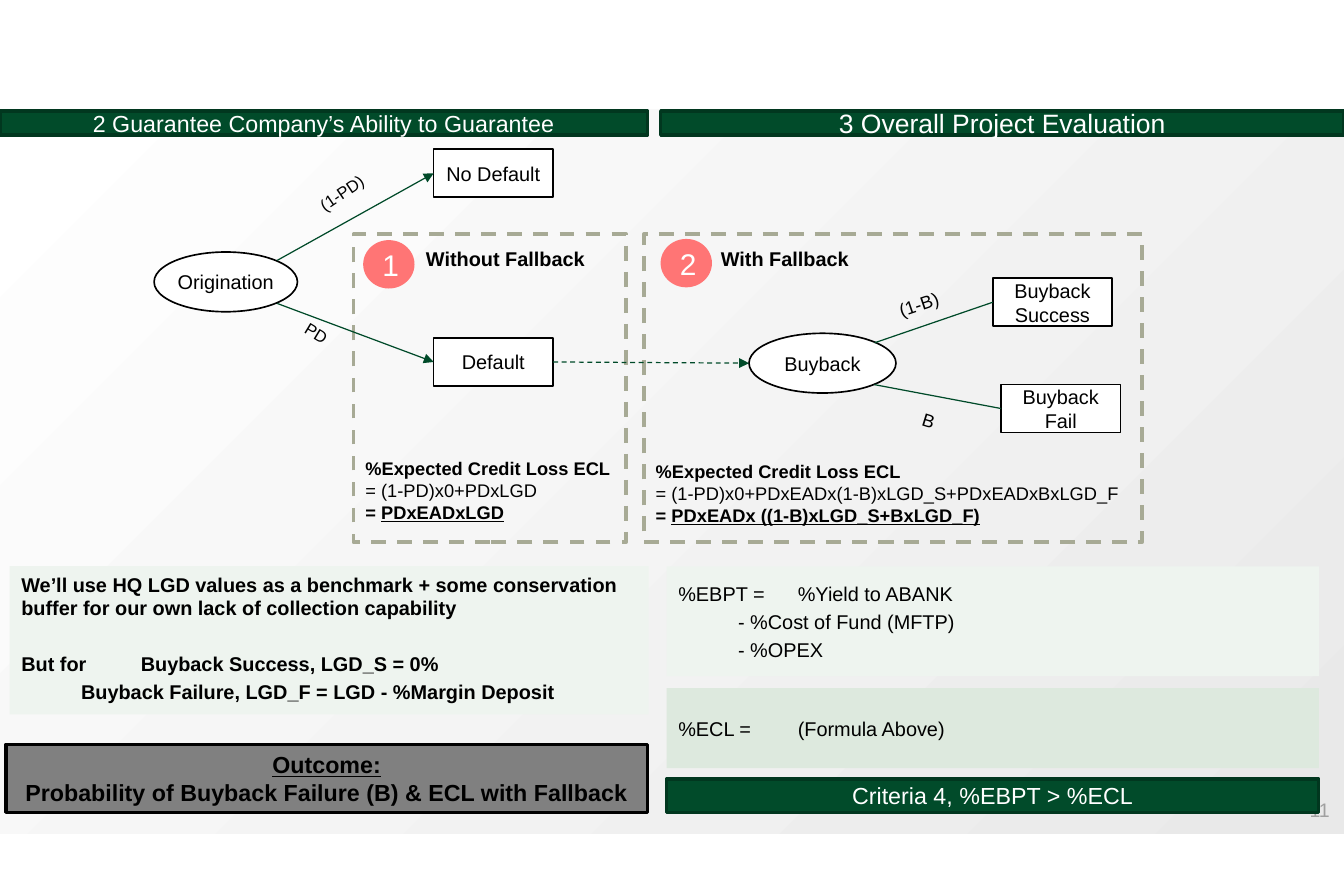
import pptx
import pptx.util
import pptx.dml.color
import pptx.enum.dml
import pptx.enum.shapes
import pptx.enum.text
from lxml import etree

Pt = pptx.util.Pt
rgb = pptx.dml.color.RGBColor.from_string
DASH = pptx.enum.dml.MSO_LINE.DASH
RECT = pptx.enum.shapes.MSO_SHAPE.RECTANGLE
OVAL = pptx.enum.shapes.MSO_SHAPE.OVAL
TOP, MIDDLE, BOTTOM = (pptx.enum.text.MSO_ANCHOR.TOP, pptx.enum.text.MSO_ANCHOR.MIDDLE,
                       pptx.enum.text.MSO_ANCHOR.BOTTOM)
LEFT, CENTER, RIGHT = (pptx.enum.text.PP_ALIGN.LEFT, pptx.enum.text.PP_ALIGN.CENTER,
                       pptx.enum.text.PP_ALIGN.RIGHT)
GREEN, DARK, MINT = "014B2A", "01371F", "EEF4EF"

prs = pptx.Presentation()
prs.slide_width, prs.slide_height = Pt(810), Pt(540)
s = prs.slides.add_slide(prs.slide_layouts[6])


def add_box(kind, x, y, w, h, fill=None, line=None, width=1, anchor=MIDDLE,
            margins=(7.2, 3.6, 7.2, 3.6)):
    """Add a preset shape, or a text box when kind is None."""
    if kind is None:
        sp = s.shapes.add_textbox(Pt(x), Pt(y), Pt(w), Pt(h))
    else:
        sp = s.shapes.add_shape(kind, Pt(x), Pt(y), Pt(w), Pt(h))
        sp.shadow.inherit = False
    if fill:
        sp.fill.solid()
        sp.fill.fore_color.rgb = rgb(fill)
    else:
        sp.fill.background()
    if line:
        sp.line.color.rgb = rgb(line)
        sp.line.width = Pt(width)
    else:
        sp.line.fill.background()
    tf = sp.text_frame
    tf.word_wrap = True
    tf.vertical_anchor = anchor
    tf.margin_left, tf.margin_top, tf.margin_right, tf.margin_bottom = map(Pt, margins)
    return sp


def add_text(sp, text, size=12, color="000000", bold=False, underline=False,
             align=CENTER, before=0, same_line=False):
    """Add a run, in a new paragraph unless same_line is set."""
    tf = sp.text_frame
    p = tf.paragraphs[-1]
    if p.runs and not same_line:
        p = tf.add_paragraph()
    p.alignment = align
    p.space_before = Pt(before)
    r = p.add_run()
    r.text = text
    r.font.name, r.font.size = "Arial", Pt(size)
    r.font.bold, r.font.underline = bold, underline
    r.font.color.rgb = rgb(color)


# Background
sp = add_box(RECT, 0, 66.24, 810, 436.32)
sp.fill.gradient()
sp.fill.gradient_angle = 315
for stop, color in zip(sp.fill.gradient_stops, ("FFFFFF", "E9E9E9")):
    stop.color.rgb = rgb(color)

# Slide number
sp = add_box(None, 768.24, 477.36, 40.32, 21.6, anchor=TOP)
add_text(sp, "11", size=11.8, color="A0A0A0", align=RIGHT)

# Green bars
for x, y, w, h, size, text in (
        (0, 66.96, 390.24, 14.4, 14, "2 Guarantee Company’s Ability to Guarantee"),
        (398.16, 66.96, 411.84, 14.4, 16, "3 Overall Project Evaluation"),
        (401.76, 469.44, 393.12, 20.16, 14, "Criteria 4, %EBPT > %ECL")):
    sp = add_box(RECT, x, y, w, h, GREEN, DARK, 2, margins=(0, 0, 0, 0))
    add_text(sp, text, size=size, color="FFFFFF")

# Dashed panels with number, heading and formula
for x, w, bottom, circle_x, circle_y, number, head_x, heading, formula, result in (
        (213.12, 164.16, 11.5, 218.88, 144.72, "1", 256.7, "Without Fallback",
         "= (1-PD)x0+PDxLGD", "PDxEADxLGD"),
        (388.08, 300.24, 10, 398.16, 144, "2", 434.4, "With Fallback",
         "= (1-PD)x0+PDxEADx(1-B)xLGD_S+PDxEADxBxLGD_F",
         "PDxEADx ((1-B)xLGD_S+BxLGD_F)")):
    panel = add_box(RECT, x, 141.12, w, 185.76, line="A7AA95", width=2.25,
                    anchor=BOTTOM, margins=(7.2, 7.2, 7.2, bottom))
    panel.line.dash_style = DASH
    add_text(panel, "%Expected Credit Loss ECL", size=11, bold=True, align=LEFT)
    add_text(panel, formula, size=11, align=LEFT)
    add_text(panel, "= ", size=11, bold=True, align=LEFT)
    add_text(panel, result, size=11, bold=True, underline=True, align=LEFT, same_line=True)
    sp = add_box(None, head_x, 147.6, 110, 16.8, margins=(0, 0, 0, 0))
    add_text(sp, heading, bold=True, align=LEFT)
    sp = add_box(OVAL, circle_x, circle_y, 30.96, 29.16, "FF7575")
    add_text(sp, number, size=18, color="FFFFFF")

# Tree nodes
nodes = {}
for name, kind, x, y, w, h, lines in (
        ("origination", OVAL, 92.88, 151.92, 86.4, 36, ["Origination"]),
        ("no default", RECT, 261.36, 90, 72, 28.8, ["No Default"]),
        ("default", RECT, 261.36, 203.76, 72, 28.8, ["Default"]),
        ("buyback", OVAL, 451.44, 200.88, 88.56, 36, ["Buyback"]),
        ("success", RECT, 598.32, 167.76, 72, 28.8, ["Buyback Success"]),
        ("fail", RECT, 603.36, 231.84, 72, 28.8, ["Buyback", "Fail"])):
    nodes[name] = add_box(kind, x, y, w, h, "FFFFFF", "000000",
                          margins=(0, 0, 0, 0) if kind == OVAL else (7.2, 0, 7.2, 0))
    for line in lines:
        add_text(nodes[name], line)

# Tree branches
for x1, y1, x2, y2, start, end, arrow, dashed in (
        (167.04, 156.96, 261.36, 104.4, None, "no default", True, False),
        (167.04, 182.88, 261.36, 218.16, None, "default", True, False),
        (333.36, 218.16, 451.44, 218.88, "default", None, True, True),
        (527.04, 206.64, 598.32, 182.16, None, "success", False, False),
        (527.04, 231.84, 603.36, 246.24, None, "fail", False, False)):
    c = s.shapes.add_connector(pptx.enum.shapes.MSO_CONNECTOR.STRAIGHT,
                               Pt(x1), Pt(y1), Pt(x2), Pt(y2))
    if start:
        c.begin_connect(nodes[start], 3)
    if end:
        c.end_connect(nodes[end], 1)
    c.line.color.rgb = rgb("004A29")
    c.line.width = Pt(0.75)
    if dashed:
        c.line.dash_style = DASH
    ns = "{http://schemas.openxmlformats.org/drawingml/2006/main}"
    if arrow:
        etree.SubElement(c.line._get_or_add_ln(), ns + "tailEnd", type="triangle")
    etree.SubElement(c._element.spPr, ns + "effectLst")

# Branch probabilities
for x, y, w, h, angle, size, text in (
        (183.6, 106.56, 44.64, 19.44, 325.8, 10, "(1-PD)"),
        (176.4, 190.8, 28.8, 19.44, 31.1, 10, "PD"),
        (534.24, 172.8, 38.88, 20.88, 341.2, 11, "(1-B)"),
        (548.64, 242.64, 22.32, 20.88, 17.1, 11, "B")):
    sp = add_box(None, x, y, w, h)
    sp.text_frame.word_wrap = False
    sp.rotation = angle
    add_text(sp, text, size=size)

# Loss assumptions
sp = add_box(RECT, 5.76, 341.28, 385.2, 89.28, MINT, anchor=TOP)
for text, before in (
        ("We’ll use HQ LGD values as a benchmark + some conservation buffer "
         "for our own lack of collection capability", 0),
        ("But for \tBuyback Success, LGD_S = 0%", 19.3),
        ("\tBuyback Failure, LGD_F = LGD - %Margin Deposit", 2.4)):
    add_text(sp, text, bold=True, align=LEFT, before=before)

# Evaluation terms
for y, h, fill, lines in (
        (341.28, 66.24, MINT, ["%EBPT =\t%Yield to ABANK", "\t- %Cost of Fund (MFTP)",
                               "\t- %OPEX"]),
        (414.72, 48.24, "DDE9DE", ["%ECL =\t(Formula Above)"])):
    sp = add_box(RECT, 401.76, y, 393.12, h, fill)
    for line in lines:
        add_text(sp, line, align=LEFT, before=2.4)

# Outcome
sp = add_box(RECT, 3.6, 448.56, 386.64, 41.04, "808080", "000000", 2, margins=(0, 0, 0, 0))
add_text(sp, "Outcome:", size=14, bold=True, underline=True)
add_text(sp, "Probability of Buyback Failure (B) & ECL with Fallback", size=14, bold=True)

prs.save("out.pptx")
